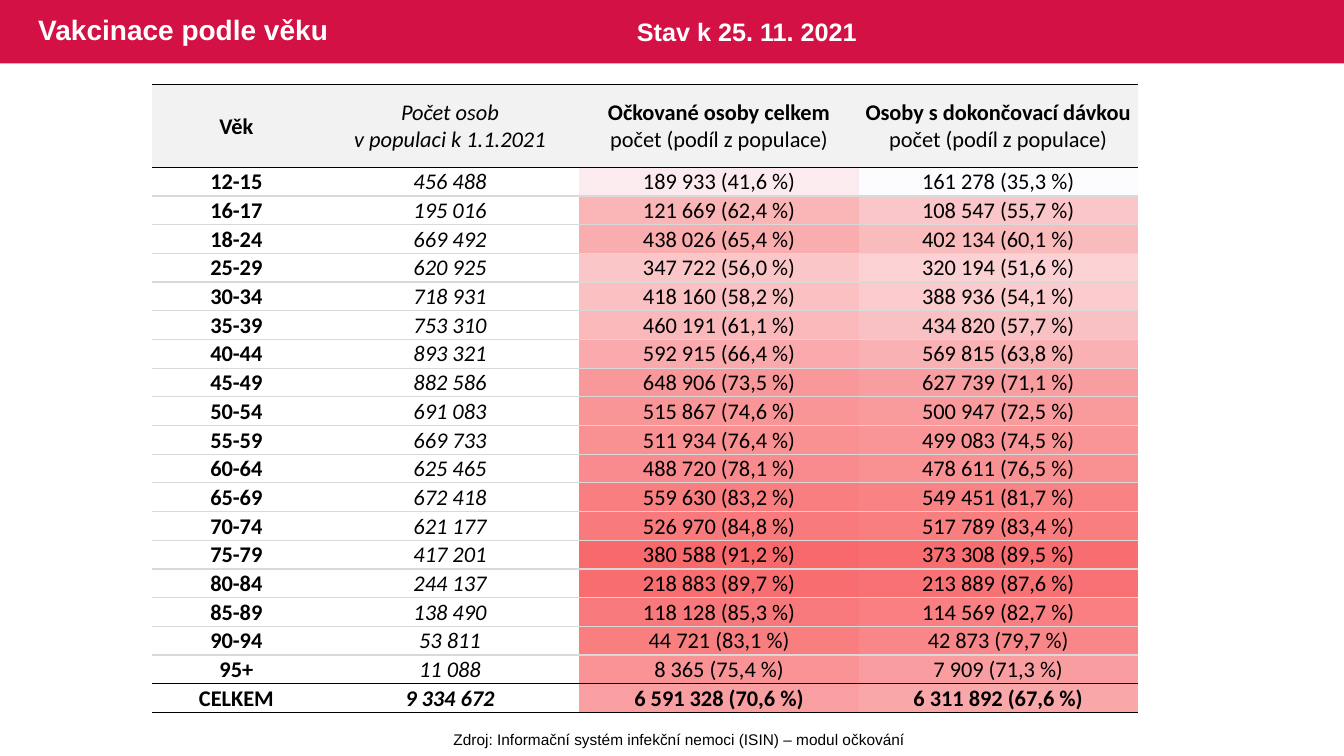
from dataclasses import dataclass
from typing import NamedTuple

from lxml import etree
from pptx import Presentation
from pptx import util as u
from pptx.dml.color import RGBColor
from pptx.enum import shapes, text
from pptx.oxml.ns import qn

COLS, ROWS = 96, 54
WIDE, HIGH = u.Inches(13.333), u.Inches(7.5)
PLAIN = "{2D5ABB26-0587-4C30-8999-92F81FD0307C}"  # table style without fills or lines


@dataclass(frozen=True)
class Theme:
    band: str = "D31145"
    white: str = "FFFFFF"
    ink: str = "000000"
    head: str = "F2F2F2"
    rule: str = "D9D9D9"
    low: str = "FCFCFF"
    high: str = "F8696B"
    sans: str = "Arial"
    body: str = "Calibri"
    title: int = 20
    date: int = 18
    cell: int = 16
    note: int = 11
    blank: int = 8


class Box(NamedTuple):
    """Left, top, width and height in grid columns and rows."""
    left: float
    top: float
    width: float
    height: float


class Run(NamedTuple):
    text: str
    bold: bool = False
    slant: bool = False


class Label(NamedTuple):
    box: Box
    text: str
    size: int
    color: str
    bold: bool
    wrap: bool
    align: text.PP_ALIGN
    anchor: text.MSO_ANCHOR
    space: float


class Age(NamedTuple):
    group: str
    people: str
    first: str
    full: str


THEME = Theme()
WIDTHS = (12.02, 18.5, 19.94, 19.94)
HEAD, LINE = 5.9, 2.05
LEFT, TOP = 10.87, 6.05

LABELS = (
    Label(Box(2.02, 0, 58.54, 4.54), "Vakcinace podle věku", THEME.title, THEME.white, True,
          True, text.PP_ALIGN.LEFT, text.MSO_ANCHOR.MIDDLE, 0.9),
    Label(Box(31.61, 51.77, 33.84, 2.09),
          "Zdroj: Informační systém infekční nemoci (ISIN) – modul očkování", THEME.note,
          THEME.ink, False, False, text.PP_ALIGN.CENTER, text.MSO_ANCHOR.TOP, 1.0),
    Label(Box(44.78, 0.79, 18.65, 2.88), "Stav k 25. 11. 2021", THEME.date, THEME.white, True,
          True, text.PP_ALIGN.LEFT, text.MSO_ANCHOR.TOP, 1.0),
)

SHARE = Run("počet (podíl z populace)")
TITLES = (
    (Run("Věk", True),),
    (Run("Počet osob", slant=True), Run("v populaci k 1.1.2021", slant=True)),
    (Run("Očkované osoby celkem", True), SHARE),
    (Run("Osoby s dokončovací dávkou", True), SHARE),
)

AGES = (
    Age("12-15", "456 488", "189 933 (41,6 %)", "161 278 (35,3 %)"),
    Age("16-17", "195 016", "121 669 (62,4 %)", "108 547 (55,7 %)"),
    Age("18-24", "669 492", "438 026 (65,4 %)", "402 134 (60,1 %)"),
    Age("25-29", "620 925", "347 722 (56,0 %)", "320 194 (51,6 %)"),
    Age("30-34", "718 931", "418 160 (58,2 %)", "388 936 (54,1 %)"),
    Age("35-39", "753 310", "460 191 (61,1 %)", "434 820 (57,7 %)"),
    Age("40-44", "893 321", "592 915 (66,4 %)", "569 815 (63,8 %)"),
    Age("45-49", "882 586", "648 906 (73,5 %)", "627 739 (71,1 %)"),
    Age("50-54", "691 083", "515 867 (74,6 %)", "500 947 (72,5 %)"),
    Age("55-59", "669 733", "511 934 (76,4 %)", "499 083 (74,5 %)"),
    Age("60-64", "625 465", "488 720 (78,1 %)", "478 611 (76,5 %)"),
    Age("65-69", "672 418", "559 630 (83,2 %)", "549 451 (81,7 %)"),
    Age("70-74", "621 177", "526 970 (84,8 %)", "517 789 (83,4 %)"),
    Age("75-79", "417 201", "380 588 (91,2 %)", "373 308 (89,5 %)"),
    Age("80-84", "244 137", "218 883 (89,7 %)", "213 889 (87,6 %)"),
    Age("85-89", "138 490", "118 128 (85,3 %)", "114 569 (82,7 %)"),
    Age("90-94", "53 811", "44 721 (83,1 %)", "42 873 (79,7 %)"),
    Age("95+", "11 088", "8 365 (75,4 %)", "7 909 (71,3 %)"),
    Age("CELKEM", "9 334 672", "6 591 328 (70,6 %)", "6 311 892 (67,6 %)"),
)


def across(cols: float) -> int:
    return round(WIDE * cols / COLS)


def down(rows: float) -> int:
    return round(HIGH * rows / ROWS)


def place(box: Box) -> tuple[int, int, int, int]:
    return across(box.left), down(box.top), across(box.width), down(box.height)


def write(para, run: Run, font: str, size: int, color: str) -> None:
    part = para.add_run()
    part.text = run.text
    part.font.name, part.font.size = font, u.Pt(size)
    part.font.bold, part.font.italic = run.bold, run.slant
    part.font.color.rgb = RGBColor.from_string(color)


def add_band(slide) -> None:
    band = slide.shapes.add_shape(shapes.MSO_SHAPE.RECTANGLE, *place(Box(0, 0, COLS, 4.54)))
    band.shadow.inherit = False
    band.fill.solid()
    band.fill.fore_color.rgb = RGBColor.from_string(THEME.band)
    band.line.fill.background()


def add_label(slide, label: Label) -> None:
    frame = slide.shapes.add_textbox(*place(label.box)).text_frame
    frame.word_wrap, frame.vertical_anchor = label.wrap, label.anchor
    para = frame.paragraphs[0]
    para.alignment, para.line_spacing = label.align, label.space
    write(para, Run(label.text, label.bold), THEME.sans, label.size, label.color)


def add_grid(slide, left: float, top: float, widths: tuple, heights: tuple):
    """Add a bare table with the given column widths and row heights."""
    box = Box(left, top, sum(widths), sum(heights))
    table = slide.shapes.add_table(len(heights), len(widths), *place(box)).table
    table.first_row = table.horz_banding = False
    table._tbl.tblPr.find(qn("a:tableStyleId")).text = PLAIN
    for col, width in zip(table.columns, widths):
        col.width = across(width)
    for row, height in zip(table.rows, heights):
        row.height = down(height)
    for cell in table.iter_cells():
        cell.margin_left = cell.margin_right = cell.margin_top = u.Inches(0.01)
        cell.margin_bottom = 0
        cell.vertical_anchor = text.MSO_ANCHOR.MIDDLE
    return table


def paint(cell, color: str) -> None:
    cell.fill.solid()
    cell.fill.fore_color.rgb = RGBColor.from_string(color)


def rule(cell, side: str, color: str) -> None:
    line = etree.SubElement(cell._tc.get_or_add_tcPr(), qn(f"a:{side}"), w=str(u.Pt(1)))
    fill = etree.SubElement(line, qn("a:solidFill"))
    etree.SubElement(fill, qn("a:srgbClr"), val=color)


def share(value: str) -> float:
    return float(value.split("(")[1].split()[0].replace(",", "."))


def add_heat(slide) -> None:
    """Colour each share on a straight scale from the lowest to the highest."""
    rates = [(share(age.first), share(age.full)) for age in AGES]
    least, most = min(map(min, rates)), max(map(max, rates))
    low, high = (RGBColor.from_string(tint) for tint in (THEME.low, THEME.high))
    table = add_grid(slide, LEFT + sum(WIDTHS[:2]), TOP + HEAD, WIDTHS[2:], (LINE,) * len(AGES))
    for row, pair in enumerate(rates):
        for col, rate in enumerate(pair):
            part = (rate - least) / (most - least)
            cell = table.cell(row, col)
            paint(cell, str(RGBColor(*(round(a + (b - a) * part) for a, b in zip(low, high)))))
            para = cell.text_frame.paragraphs[0]
            etree.SubElement(para._p, qn("a:endParaRPr"), sz=str(THEME.blank * 100))


def add_ages(slide) -> None:
    last = len(AGES)
    body = [tuple((Run(value, col == 0 or row == last, col == 1),)
                  for col, value in enumerate(age)) for row, age in enumerate(AGES, 1)]
    table = add_grid(slide, LEFT, TOP, WIDTHS, (HEAD,) + (LINE,) * last)
    for row, cells in enumerate([TITLES, *body]):
        for col, runs in enumerate(cells):
            cell = table.cell(row, col)
            rule(cell, "lnT", THEME.ink if row in (0, 1, last) else THEME.rule)
            rule(cell, "lnB", THEME.ink if row in (0, last - 1, last) else THEME.rule)
            if row == 0:
                paint(cell, THEME.head)
            else:
                cell.fill.background()
            frame = cell.text_frame
            for spot, run in enumerate(runs):
                para = frame.add_paragraph() if spot else frame.paragraphs[0]
                para.alignment = text.PP_ALIGN.CENTER
                write(para, run, THEME.body, THEME.cell, THEME.ink)


def main() -> None:
    deck = Presentation()
    deck.slide_width, deck.slide_height = WIDE, HIGH
    slide = deck.slides.add_slide(deck.slide_layouts[6])
    add_band(slide)
    add_heat(slide)
    add_ages(slide)
    for label in LABELS:
        add_label(slide, label)
    deck.save("out.pptx")


if __name__ == "__main__":
    main()
